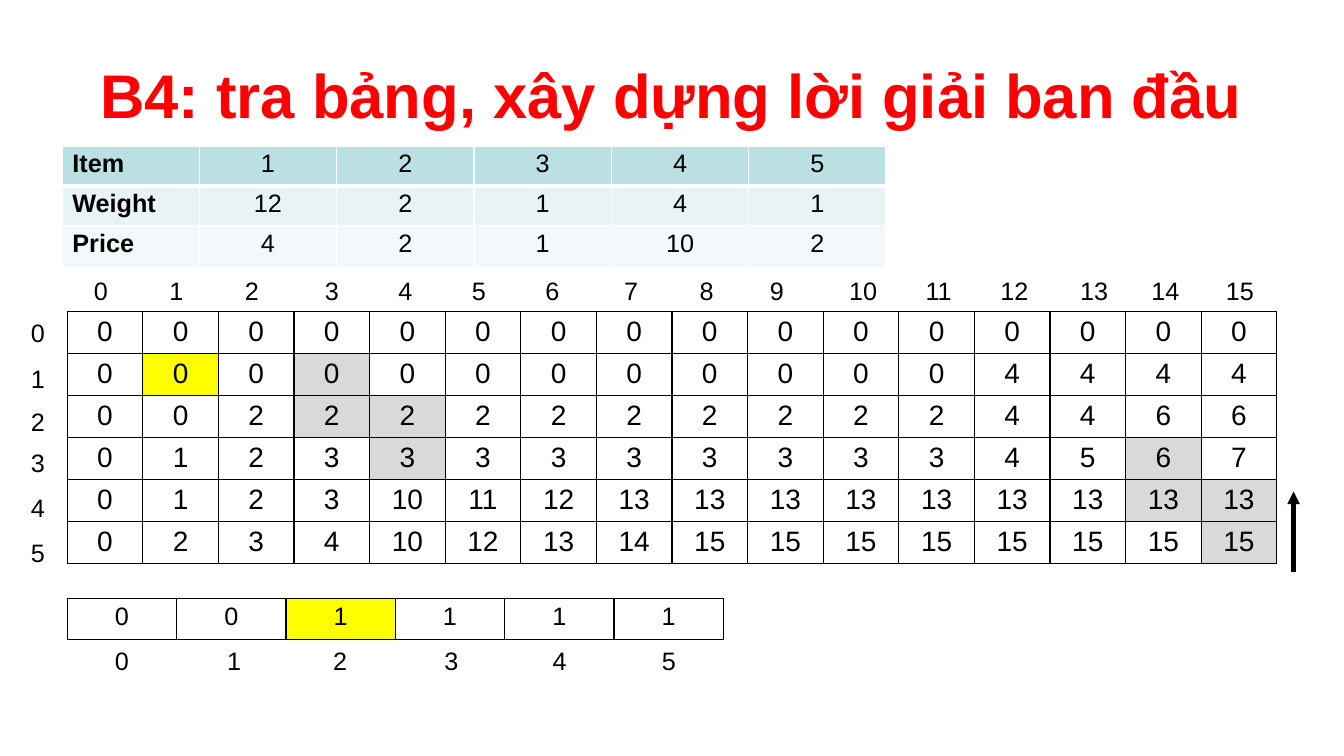
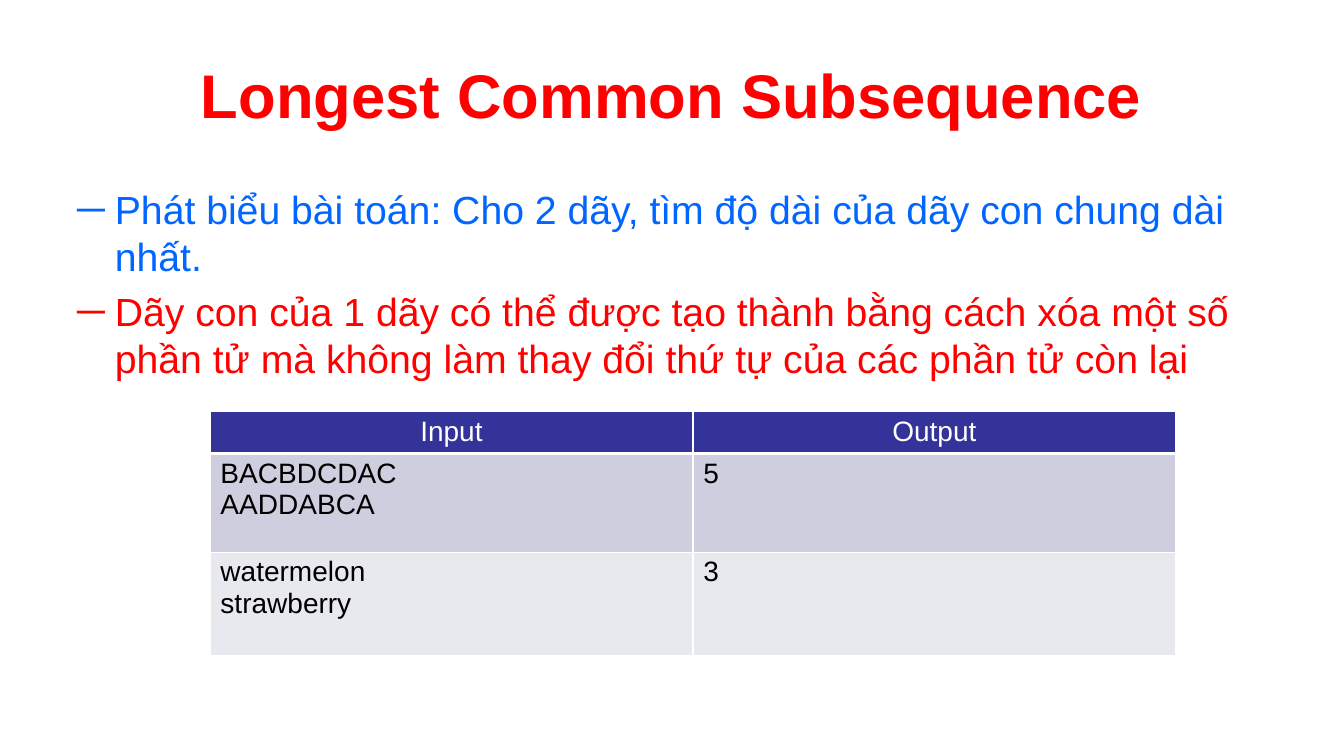
from lxml.etree import SubElement
from pptx import Presentation
from pptx.dml.color import RGBColor
from pptx.enum.shapes import MSO_CONNECTOR
from pptx.enum.text import MSO_ANCHOR, PP_ALIGN
from pptx.oxml.ns import qn
from pptx.util import Emu, Pt

FONT = "Arial"
BLACK, WHITE, RED, BLUE = "000000", "FFFFFF", "FF0000", "0066FF"
YELLOW, GRAY = "FFFF00", "D9D9D9"
ITEM_FILLS = ["BBE0E3", "E7F3F4", "F3F9FA"]
EXAMPLE_FILLS = ["333399", "CECEDE", "E8E8EF"]

KNAPSACK_TITLE = "B4: tra bảng, xây dựng lời giải ban đầu"
ITEMS = [
    ["Item", 1, 2, 3, 4, 5],
    ["Weight", 12, 2, 1, 4, 1],
    ["Price", 4, 2, 1, 10, 2],
]
BEST_PRICES = [
    [0, 0, 0, 0, 0, 0, 0, 0, 0, 0, 0, 0, 0, 0, 0, 0],
    [0, 0, 0, 0, 0, 0, 0, 0, 0, 0, 0, 0, 4, 4, 4, 4],
    [0, 0, 2, 2, 2, 2, 2, 2, 2, 2, 2, 2, 4, 4, 6, 6],
    [0, 1, 2, 3, 3, 3, 3, 3, 3, 3, 3, 3, 4, 5, 6, 7],
    [0, 1, 2, 3, 10, 11, 12, 13, 13, 13, 13, 13, 13, 13, 13, 13],
    [0, 2, 3, 4, 10, 12, 13, 14, 15, 15, 15, 15, 15, 15, 15, 15],
]
TRACE_CELLS = [(1, 3), (2, 3), (2, 4), (3, 4), (3, 14), (4, 14), (4, 15), (5, 15)]
PRICE_MARKS = {(1, 1): YELLOW, **{cell: GRAY for cell in TRACE_CELLS}}
CHOSEN = [[0, 0, 1, 1, 1, 1]]
CHOSEN_MARKS = {(0, 2): YELLOW}

# Index labels: centres in px along the row, tops in px down the column
CAPACITY_CENTRES = [96, 168, 240, 316, 386, 456, 526, 601,
                    673, 740, 822, 894, 966, 1042, 1110, 1181]
ITEM_TOPS = [297, 341, 382, 421, 464, 507]
CHOSEN_CENTRES = [116, 223, 324, 430, 533, 637]

SUBSEQUENCE_TITLE = "Longest Common Subsequence"
STATEMENTS = [
    ("Phát biểu bài toán: Cho 2 dãy, tìm độ dài của dãy con chung dài nhất.", BLUE),
    ("Dãy con của 1 dãy có thể được tạo thành bằng cách xóa một số phần tử "
     "mà không làm thay đổi thứ tự của các phần tử còn lại", RED),
]
EXAMPLES = [
    ["Input", "Output"],
    ["BACBDCDAC\nAADDABCA", 5],
    ["watermelon\nstrawberry", 3],
]


def px(length):
    return Emu(round(length * 9525))


def color(value):
    return RGBColor.from_string(value)


def add_run(paragraph, text, size, text_color, bold=False):
    run = paragraph.add_run()
    run.text = str(text)
    run.font.name = FONT
    run.font.size = Pt(size)
    run.font.bold = bold
    run.font.color.rgb = color(text_color)


def add_text_frame(slide, left, top, width, height, wrap=True):
    frame = slide.shapes.add_textbox(px(left), px(top), px(width), px(height)).text_frame
    frame.word_wrap = wrap
    return frame


def add_titled_slide(presentation, title):
    slide = presentation.slides.add_slide(presentation.slide_layouts[6])
    frame = add_text_frame(slide, 64, 29, 1152, 120)
    frame.vertical_anchor = MSO_ANCHOR.MIDDLE
    paragraph = frame.paragraphs[0]
    paragraph.alignment = PP_ALIGN.CENTER
    add_run(paragraph, title, 44, RED, bold=True)
    return slide


def add_label(slide, center, top, text):
    frame = add_text_frame(slide, center - 24, top, 48, 38, wrap=False)
    paragraph = frame.paragraphs[0]
    paragraph.alignment = PP_ALIGN.CENTER
    add_run(paragraph, text, 18, BLACK)


def set_borders(cell, line_color, top=1, bottom=1):
    properties = cell._tc.get_or_add_tcPr()
    for side, width in (("L", 1), ("R", 1), ("T", top), ("B", bottom)):
        line = SubElement(properties, qn(f"a:ln{side}"), w=str(Pt(width)))
        fill = SubElement(line, qn("a:solidFill"))
        SubElement(fill, qn("a:srgbClr"), val=line_color)


def add_grid(slide, left, top, width, row_heights, rows, size, border, style,
             header_rule=1):
    """Add a table; style(row, column) gives fill, text colour, alignment, bold."""
    columns = len(rows[0])
    table = slide.shapes.add_table(len(rows), columns, px(left), px(top),
                                   px(width), px(sum(row_heights))).table
    table.first_row = table.horz_banding = False
    for column in table.columns:
        column.width = px(width / columns)
    for r, values in enumerate(rows):
        table.rows[r].height = px(row_heights[r])
        for c, value in enumerate(values):
            fill, text_color, alignment, bold = style(r, c)
            cell = table.cell(r, c)
            cell.margin_left = cell.margin_right = px(10)
            cell.margin_top = cell.margin_bottom = px(4)
            set_borders(cell, border, top=header_rule if r == 1 else 1,
                        bottom=header_rule if r == 0 else 1)
            cell.fill.solid()
            cell.fill.fore_color.rgb = color(fill)
            for i, line in enumerate(str(value).split("\n")):
                frame = cell.text_frame
                paragraph = frame.add_paragraph() if i else frame.paragraphs[0]
                paragraph.alignment = alignment
                add_run(paragraph, line, size, text_color, bold)


def marked_style(marks):
    return lambda r, c: (marks.get((r, c), WHITE), BLACK, PP_ALIGN.CENTER, False)


def item_style(r, c):
    alignment = PP_ALIGN.CENTER if c else PP_ALIGN.LEFT
    return ITEM_FILLS[r], BLACK, alignment, c == 0


def example_style(r, c):
    if r == 0:
        return EXAMPLE_FILLS[r], WHITE, PP_ALIGN.CENTER, False
    return EXAMPLE_FILLS[r], BLACK, PP_ALIGN.LEFT, False


def add_up_arrow(slide, x, bottom, top):
    arrow = slide.shapes.add_connector(MSO_CONNECTOR.STRAIGHT,
                                       px(x), px(bottom), px(x), px(top))
    arrow.line.width = Pt(3)
    arrow.line.color.rgb = color(BLACK)
    SubElement(arrow.line._get_or_add_ln(), qn("a:tailEnd"), type="triangle")
    SubElement(arrow._element.spPr, qn("a:effectLst"))


def add_dash_list(slide, left, top, width, height, entries):
    frame = add_text_frame(slide, left, top, width, height)
    for i, (text, text_color) in enumerate(entries):
        paragraph = frame.add_paragraph() if i else frame.paragraphs[0]
        properties = paragraph._p.get_or_add_pPr()
        properties.set("marL", str(px(36)))
        properties.set("indent", str(px(-36)))
        SubElement(properties, qn("a:buFont"), typeface=FONT)
        SubElement(properties, qn("a:buChar"), char="─")
        if i:
            paragraph.space_before = Pt(5.6)
        add_run(paragraph, text, 28, text_color)


def build_knapsack_slide(presentation):
    slide = add_titled_slide(presentation, KNAPSACK_TITLE)
    add_grid(slide, 59, 139, 785, [38, 38, 40], ITEMS, 18, WHITE, item_style,
             header_rule=3)
    row_count = len(BEST_PRICES)
    add_grid(slide, 64, 297, 1152, [236 / row_count] * row_count, BEST_PRICES, 20,
             BLACK, marked_style(PRICE_MARKS))
    add_grid(slide, 64, 570, 625, [39], CHOSEN, 18, BLACK, marked_style(CHOSEN_MARKS))
    for capacity, center in enumerate(CAPACITY_CENTRES):
        add_label(slide, center, 257, capacity)
    for item, top in enumerate(ITEM_TOPS):
        add_label(slide, 36, top, item)
    for item, center in enumerate(CHOSEN_CENTRES):
        add_label(slide, center, 610, item)
    add_up_arrow(slide, 1232, 545, 468)


def build_subsequence_slide(presentation):
    slide = add_titled_slide(presentation, SUBSEQUENCE_TITLE)
    add_dash_list(slide, 64, 172, 1152, 210, STATEMENTS)
    add_grid(slide, 200, 392, 920, [40, 94, 98], EXAMPLES, 20, WHITE, example_style,
             header_rule=3)


def main():
    presentation = Presentation()
    presentation.slide_width = px(1280)
    presentation.slide_height = px(720)
    build_knapsack_slide(presentation)
    build_subsequence_slide(presentation)
    presentation.save("out.pptx")


if __name__ == "__main__":
    main()
